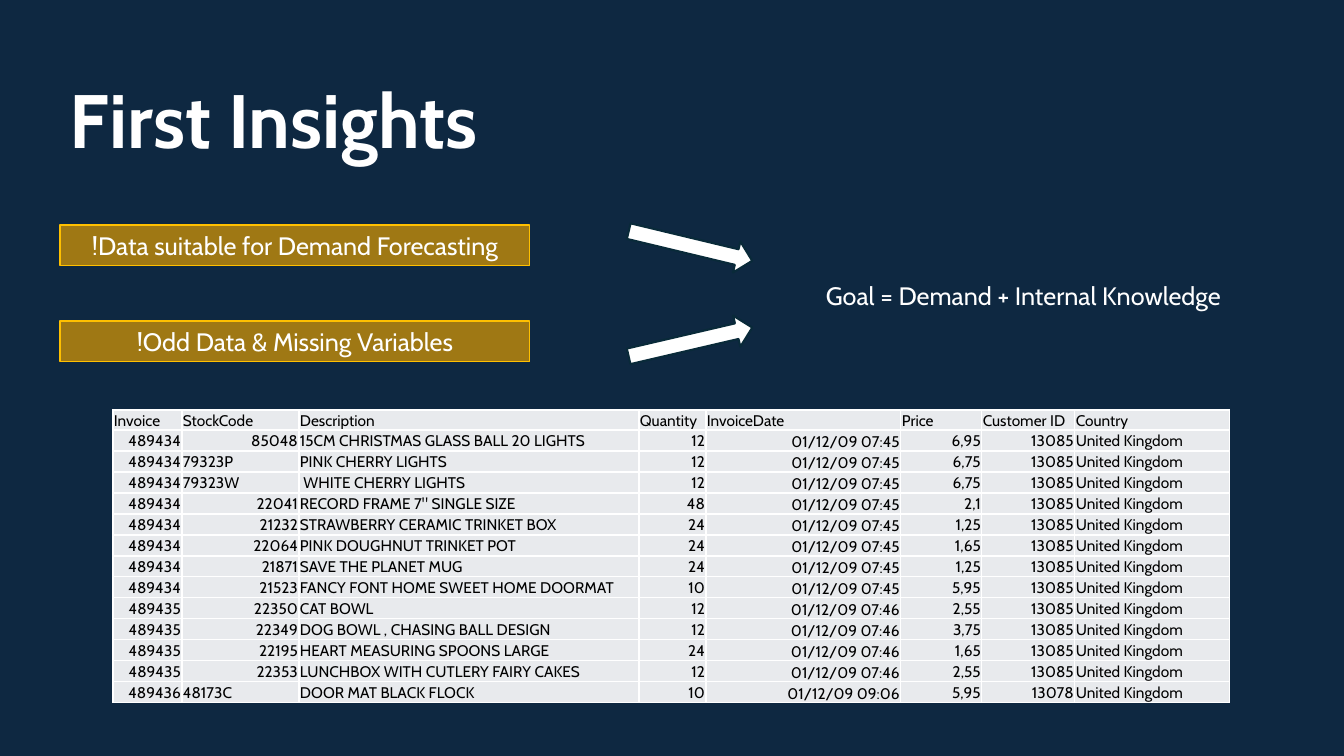
"""Build the First Insights slide with its sample of invoice data."""
from lxml.etree import SubElement
from pptx import Presentation
from pptx.dml.color import RGBColor
from pptx.enum.shapes import MSO_SHAPE as Shape
from pptx.enum.text import MSO_ANCHOR as Anchor, MSO_AUTO_SIZE as AutoSize, PP_ALIGN as Align
from pptx.oxml.ns import qn
from pptx.util import Pt

PX = 914400 / 100.8
FONT = "Cabin"
NAVY, WHITE, BLACK = "0E2841", "FFFFFF", "000000"
GOLD, AMBER, TEAL, GREY = "9F7814", "FFC000", "092A39", "E8EAED"

TEXTS = [
    ("First Insights", (60, 68, 742, 102), 54, True),
    ("Goal = Demand + Internal Knowledge", (816, 275, 458, 40), 18, False),
]
FINDINGS = [
    ("!Data suitable for Demand Forecasting", 13.5),
    ("!Odd Data & Missing Variables", -13.1),
]
FINDING_BOX = (60, 225, 470, 41)
ARROW_BOX = (627, 230, 127, 32)
FINDING_STEP = 96

TABLE_LEFT, TABLE_TOP = 113, 410
COLUMN_WIDTHS = [69, 117, 340, 67, 195, 81, 93, 155]
HEADER_HEIGHT, ROW_HEIGHT = 20, 21
DATE_COLUMN = 4
HEADER = ("Invoice", "StockCode", "Description", "Quantity", "InvoiceDate", "Price",
          "Customer ID", "Country")
COUNTRY = "United Kingdom"
ORDERS = [
    ("489434", "85048", "15CM CHRISTMAS GLASS BALL 20 LIGHTS", "12", "01/12/09 07:45", "6,95", "13085"),
    ("489434", "79323P", "PINK CHERRY LIGHTS", "12", "01/12/09 07:45", "6,75", "13085"),
    ("489434", "79323W", " WHITE CHERRY LIGHTS", "12", "01/12/09 07:45", "6,75", "13085"),
    ("489434", "22041", 'RECORD FRAME 7" SINGLE SIZE', "48", "01/12/09 07:45", "2,1", "13085"),
    ("489434", "21232", "STRAWBERRY CERAMIC TRINKET BOX", "24", "01/12/09 07:45", "1,25", "13085"),
    ("489434", "22064", "PINK DOUGHNUT TRINKET POT", "24", "01/12/09 07:45", "1,65", "13085"),
    ("489434", "21871", "SAVE THE PLANET MUG", "24", "01/12/09 07:45", "1,25", "13085"),
    ("489434", "21523", "FANCY FONT HOME SWEET HOME DOORMAT", "10", "01/12/09 07:45", "5,95", "13085"),
    ("489435", "22350", "CAT BOWL", "12", "01/12/09 07:46", "2,55", "13085"),
    ("489435", "22349", "DOG BOWL , CHASING BALL DESIGN", "12", "01/12/09 07:46", "3,75", "13085"),
    ("489435", "22195", "HEART MEASURING SPOONS LARGE", "24", "01/12/09 07:46", "1,65", "13085"),
    ("489435", "22353", "LUNCHBOX WITH CUTLERY FAIRY CAKES", "12", "01/12/09 07:46", "2,55", "13085"),
    ("489436", "48173C", "DOOR MAT BLACK FLOCK", "10", "01/12/09 09:06", "5,95", "13078"),
]


def px(*lengths):
    return [round(length * PX) for length in lengths]


def paint(fill, color):
    fill.solid()
    fill.fore_color.rgb = RGBColor.from_string(color)


def write(frame, text, size, color, align=Align.LEFT, bold=False):
    frame.word_wrap = True
    paragraph = frame.paragraphs[0]
    paragraph.text = text
    paragraph.alignment = align
    font = paragraph.font
    font.name, font.size, font.bold = FONT, Pt(size), bold
    paint(font.fill, color)


def add_shape(slide, kind, box, fill, line, line_width):
    shape = slide.shapes.add_shape(kind, *px(*box))
    shape.shadow.inherit = False
    paint(shape.fill, fill)
    paint(shape.line.fill, line)
    shape.line.width = Pt(line_width)
    return shape


def add_finding(slide, index, text, angle):
    def move_down(box):
        left, top, width, height = box
        return left, top + index * FINDING_STEP, width, height

    label = add_shape(slide, Shape.RECTANGLE, move_down(FINDING_BOX), GOLD, AMBER, 0.75)
    write(label.text_frame, text, 18, WHITE, Align.CENTER)
    arrow = add_shape(slide, Shape.RIGHT_ARROW, move_down(ARROW_BOX), WHITE, TEAL, 1.5)
    arrow.rotation = angle


def style_cell(cell, text, anchor):
    numeric = not any(letter.isalpha() for letter in text)
    write(cell.text_frame, text, 11, BLACK, Align.RIGHT if numeric else Align.LEFT)
    cell.vertical_anchor = anchor
    cell.margin_left, cell.margin_right, cell.margin_top, cell.margin_bottom = px(1, 1, 1, 0)
    properties = cell._tc.get_or_add_tcPr()
    for side in ("a:lnL", "a:lnR", "a:lnT", "a:lnB"):
        border = SubElement(properties, qn(side), w=str(Pt(1)))
        SubElement(SubElement(border, qn("a:solidFill")), qn("a:srgbClr"), val=WHITE)
    paint(cell.fill, GREY)


def add_orders(slide):
    rows = [HEADER] + [order + (COUNTRY,) for order in ORDERS]
    heights = [HEADER_HEIGHT] + [ROW_HEIGHT] * len(ORDERS)
    box = px(TABLE_LEFT, TABLE_TOP, sum(COLUMN_WIDTHS), sum(heights))
    table = slide.shapes.add_table(len(rows), len(HEADER), *box).table
    table.first_row = table.horz_banding = False
    for column, width in zip(table.columns, px(*COLUMN_WIDTHS)):
        column.width = width
    for row, height in zip(table.rows, px(*heights)):
        row.height = height
    for row_index, row in enumerate(rows):
        for column_index, text in enumerate(row):
            anchor = Anchor.BOTTOM if column_index == DATE_COLUMN else Anchor.MIDDLE
            style_cell(table.cell(row_index, column_index), text, anchor)


def main():
    presentation = Presentation()
    presentation.slide_width, presentation.slide_height = px(1344, 756)
    slide = presentation.slides.add_slide(presentation.slide_layouts[6])
    paint(slide.background.fill, NAVY)
    for text, box, size, bold in TEXTS:
        frame = slide.shapes.add_textbox(*px(*box)).text_frame
        write(frame, text, size, WHITE, bold=bold)
        frame.auto_size = AutoSize.SHAPE_TO_FIT_TEXT
    for index, (text, angle) in enumerate(FINDINGS):
        add_finding(slide, index, text, angle)
    add_orders(slide)
    presentation.save("out.pptx")


if __name__ == "__main__":
    main()
